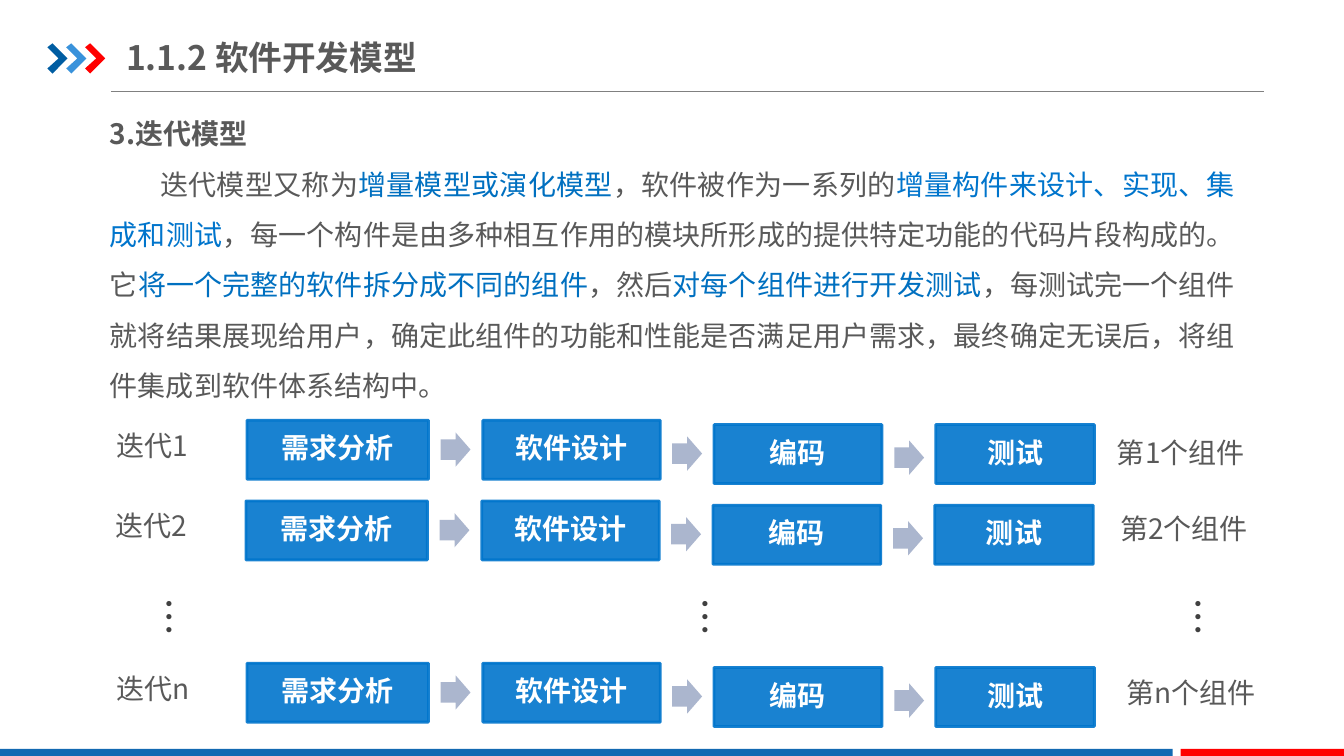
"""Build the slide on the iterative model of software development."""
import pptx
import pptx.util
import pptx.dml.color
import pptx.enum.shapes
import pptx.enum.text
import pptx.oxml.ns
import lxml.etree

WIDE, HIGH = pptx.util.Inches(13.33), pptx.util.Inches(7.5)
FACE = "Noto Sans CJK SC"
GREY, BLUE, DEEP, RED = "595959", "0070C0", "0075CC", "FF0000"
KIND = pptx.enum.shapes.MSO_SHAPE
ALIGN = pptx.enum.text.PP_ALIGN
MID = pptx.enum.text.MSO_ANCHOR.MIDDLE

ROWS = [("1", 0, 55.6, 82.37, 1.33, 11.93),
        ("2", -0.08, 66.27, 82.6, 0.8, 11.25),
        ("n", 0, 87.73, 83.05, 0.93, 11.7)]
STEPS = [("需求分析", 18.38, 0, 13.5), ("软件设计", 35.93, 0, 13.2),
         ("编码", 53.13, 0.57, 12.49), ("测试", 69.63, 0.57, 11.8)]
ARROWS = [(32.79, 1.6), (50.02, 2.13), (66.54, 2.67)]
CHEVRON = [(0, 0.53), (0.38, 0), (1.5, 2), (0.38, 4), (0, 3.33), (0.83, 2)]
PROSE = [("迭代模型又称为", GREY), ("增量模型或演化模型", BLUE),
         ("，软件被作为一系列的", GREY),
         ("增量构件来设计、实现、集成和测试", DEEP),
         ("，每一个构件是由多种相互作用的模块所形成的提供特定功能的代码片段构成的。它", GREY),
         ("将一个完整的软件拆分成不同的组件", BLUE), ("，然后", GREY),
         ("对每个组件进行开发测试", BLUE),
         ("，每测试完一个组件就将结果展现给用户，确定此组件的功能和性能是否满足用户需求，"
          "最终确定无误后，将组件集成到软件体系结构中。", GREY)]


def across(share):
    """Turn a percentage of the slide's width into a length."""
    return int(WIDE * share / 100)


def down(share):
    """Turn a percentage of the slide's height into a length."""
    return int(HIGH * share / 100)


def area(x, y, w, h):
    """Turn four percentages into left, top, width and height."""
    return across(x), down(y), across(w), down(h)


def add(node, tag, **attrs):
    """Append a drawing element to an XML node."""
    return lxml.etree.SubElement(node, pptx.oxml.ns.qn(tag), **attrs)


def tint(color, code):
    """Set a colour from its hex string."""
    color.rgb = pptx.dml.color.RGBColor.from_string(code)


def paint(shape, code):
    """Fill a shape flatly, with no line or shadow."""
    shape.shadow.inherit = False
    shape.fill.solid()
    tint(shape.fill.fore_color, code)
    shape.line.fill.background()


def style(para, size, code, bold=False, align=ALIGN.LEFT):
    """Format a whole paragraph."""
    para.alignment = align
    font = para.font
    font.size, font.bold, font.name = pptx.util.Pt(size), bold, FACE
    tint(font.color, code)
    add(font._element, "a:ea", typeface=FACE)


def inset(frame, side, edge):
    """Set the side and edge margins of a text frame in inches."""
    frame.word_wrap = True
    frame.margin_left = frame.margin_right = pptx.util.Inches(side)
    frame.margin_top = frame.margin_bottom = pptx.util.Inches(edge)


def place(shape, spot):
    """Move and size a placeholder."""
    shape.left, shape.top, shape.width, shape.height = spot


def label(slide, text, spot, size=20, code=GREY):
    """Add a text box holding one paragraph."""
    frame = slide.shapes.add_textbox(*spot).text_frame
    frame.word_wrap = True
    frame.text = text
    style(frame.paragraphs[0], size, code)
    return frame


def dots(slide, x):
    """Add an upright ellipsis."""
    frame = label(slide, "…", area(x, 77.73, 5.03, 6.4), 28, "404040")
    frame._txBody.bodyPr.set("vert", "eaVert")


def step(slide, text, spot):
    """Add one blue box for a stage of work."""
    box = slide.shapes.add_shape(KIND.RECTANGLE, *spot)
    paint(box, DEEP)
    tint(box.line.color, DEEP)
    box.line.width = pptx.util.Pt(2)
    for clr in box._element.spPr.iter(pptx.oxml.ns.qn("a:srgbClr")):
        add(clr, "a:alpha", val="90000")
    frame = box.text_frame
    inset(frame, 0.21, 0.04)
    frame.vertical_anchor = MID
    frame.text = text
    para = frame.paragraphs[0]
    para.line_spacing, para.space_after = 0.9, pptx.util.Pt(7)
    style(para, 20, "FFFFFF", True, ALIGN.CENTER)


def arrow(slide, spot):
    """Add a block arrow between two stages."""
    mark = slide.shapes.add_shape(KIND.RIGHT_ARROW, *spot)
    mark.adjustments[0], mark.adjustments[1] = 0.6, 0.5
    paint(mark, "ABB6CE")


def cycle(slide, name, shift, top, x, drop, wide):
    """Add one iteration with its stages and labels."""
    for text, left, dip, span in STEPS:
        step(slide, text, area(left + shift, top + dip, span, 7.8))
    for left, dip in ARROWS:
        arrow(slide, area(left + shift, top + dip, 2.22, 4.53))
    label(slide, f"迭代{name}", area(7.95 + shift, top + 0.4, 8.85, 5.87))
    label(slide, f"第{name}个组件", area(x, top + drop, wide, 5.87))


def frieze(slide):
    """Add the header rule, the chevrons and the footer bars."""
    rule = slide.shapes.add_connector(
        pptx.enum.shapes.MSO_CONNECTOR.STRAIGHT,
        across(8.25), down(12.13), across(94.07), down(12.13))
    tint(rule.line.color, "808080")
    rule.line.width = pptx.util.Pt(0.75)
    add(rule._element.spPr, "a:effectLst")
    for i, code in enumerate(["005DA2", "3992DB", RED]):
        pts = [(across(3.53 + 1.4 * i + x), down(5.73 + y)) for x, y in CHEVRON]
        path = slide.shapes.build_freeform(*pts[0])
        path.add_line_segments(pts[1:], close=True)
        paint(path.convert_to_shape(), code)
    for x, wide, code in [(0, 87.25, "1369B2"), (87.85, 12.15, RED)]:
        bar = slide.shapes.add_shape(KIND.RECTANGLE, *area(x, 99.07, wide, 0.93))
        paint(bar, code)


def head(shape):
    """Fill the title placeholder."""
    place(shape, area(9.38, 3.87, 31.96, 7.33))
    frame = shape.text_frame
    inset(frame, 0, 0.07)
    frame.vertical_anchor = MID
    frame.text = "1.1.2 软件开发模型"
    style(frame.paragraphs[0], 24, GREY, True)


def body(shape):
    """Fill the body placeholder with the heading and the prose."""
    place(shape, area(7.2, 12.27, 85.67, 41.33))
    frame = shape.text_frame
    inset(frame, 0.13, 0.07)
    frame.auto_size = pptx.enum.text.MSO_AUTO_SIZE.NONE
    frame.text = "3.迭代模型"
    prose = frame.add_paragraph()
    for text, code in PROSE:
        run = prose.add_run()
        run.text = text
        tint(run.font.color, code)
    for para, dent, bold in zip(frame.paragraphs, (0, 0.5), (True, False)):
        para.line_spacing, para.space_before = 1.5, pptx.util.Pt(0)
        props = para._p.get_or_add_pPr()
        props.set("marL", "0")
        props.set("indent", str(pptx.util.Inches(dent)))
        add(props, "a:buNone")
        style(para, 20, GREY, bold, ALIGN.JUSTIFY)


def main():
    """Build and save the slide."""
    deck = pptx.Presentation()
    deck.slide_width, deck.slide_height = WIDE, HIGH
    slide = deck.slides.add_slide(deck.slide_layouts[1])
    frieze(slide)
    head(slide.shapes.title)
    for row in ROWS:
        cycle(slide, *row)
    body(slide.placeholders[1])
    for x in (9.75, 49.66, 86.35):
        dots(slide, x)
    deck.save("out.pptx")


if __name__ == "__main__":
    main()
